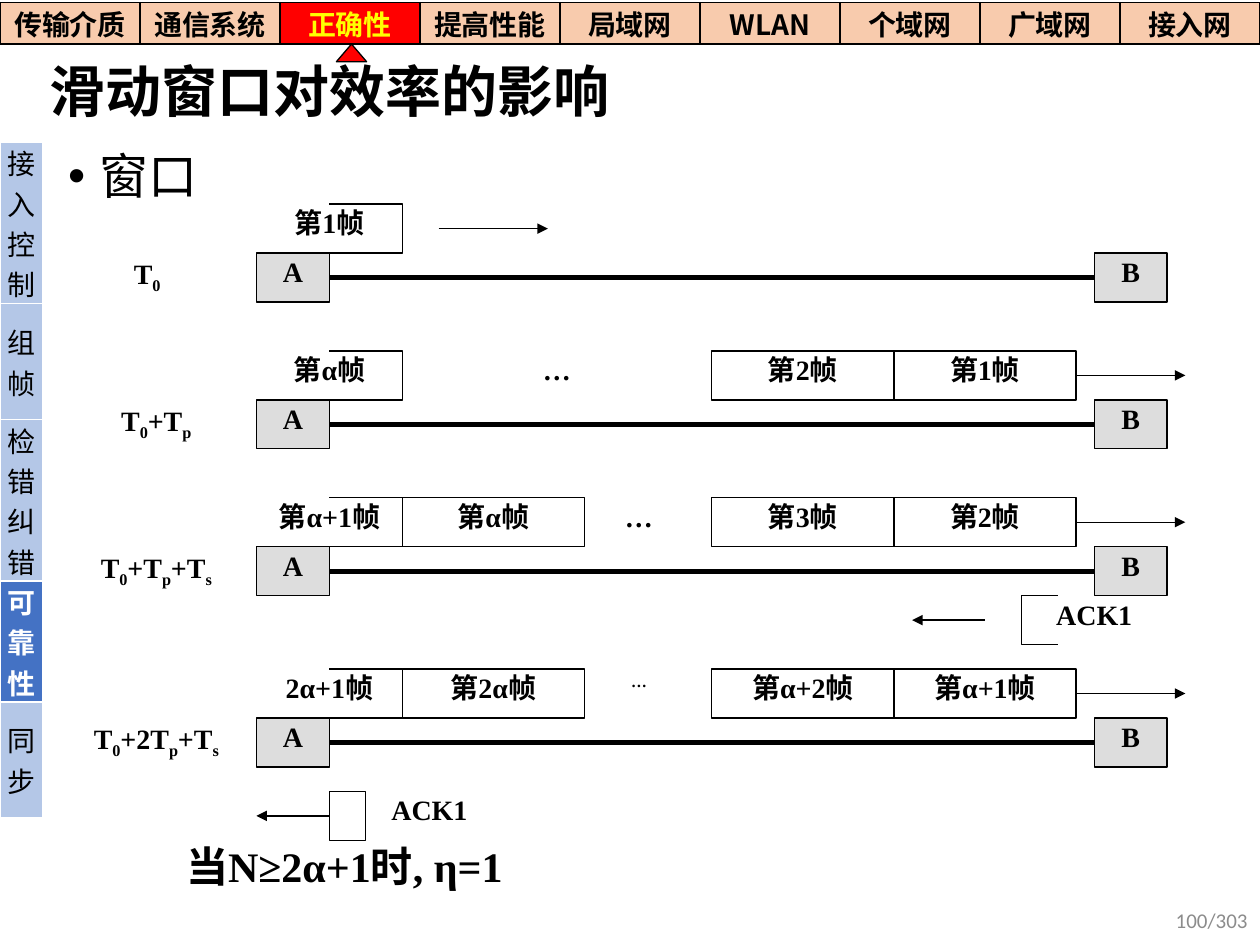
from dataclasses import dataclass
from itertools import groupby
from lxml.etree import SubElement
from pptx import Presentation
from pptx.dml.color import RGBColor
from pptx.enum.shapes import MSO_CONNECTOR, MSO_SHAPE
from pptx.enum.text import MSO_ANCHOR, PP_ALIGN
from pptx.oxml.ns import qn
from pptx.util import Inches, Pt


@dataclass(frozen=True)
class Theme:
    black: str = "000000"
    white: str = "FFFFFF"
    node: str = "DDDDDD"
    nav: str = "F8CBAD"
    nav_on: str = "FF0000"
    nav_ink: str = "FFFF00"
    side: str = "B4C7E7"
    side_on: str = "4472C4"
    pale: str = "8C8C8C"
    sans: str = "Noto Sans CJK SC"
    serif: str = "Times New Roman"
    foot: str = "Calibri"
    title: int = 32
    body: int = 28
    close: int = 24
    label: int = 16
    page: int = 12
    tiny: int = 9
    thin: float = 0.75
    thick: float = 3


T = Theme()
TITLE, BODY, PAGE = "滑动窗口对效率的影响", "窗口", "100/303"
CLOSE = "当N≥2α+1时, η=1"
NAV = ["传输介质", "通信系统", "正确性", "提高性能", "局域网", "WLAN", "个域网", "广域网", "接入网"]
SIDE = ["接入控制", "组帧", "检错纠错", "可靠性", "同步"]
NAV_ON, SIDE_ON = 2, 3

# Grid row, time, time width, frame leaving A, boxed frames (column: text),
# dots (column, width, size), arrow (from, to)
STEPS = [
    (0, "T0", 8, "第1帧", {}, None, (20, 26)),
    (3, "T0+Tp", 9, "第α帧", {35: "第2帧", 45: "第1帧"}, (22, 9, T.label), (55, 61)),
    (6, "T0+Tp+Ts", 9, "第α+1帧", {18: "第α帧", 35: "第3帧", 45: "第2帧"},
     (28, 6, T.label), (55, 61)),
    (9.5, "T0+2Tp+Ts", 9, "2α+1帧", {18: "第2α帧", 35: "第α+2帧", 45: "第α+1帧"},
     (28, 6, T.tiny), (55, 61)),
]
A_COL, B_COL, NODE, FRAME = 10, 56, 4, 10

deck = Presentation()
deck.slide_width, deck.slide_height = Inches(10), Inches(7.5)
slide = deck.slides.add_slide(deck.slide_layouts[1])
shapes = slide.shapes


def col(n):
    return Inches(0.59 + n * 7.95 / 55)


def row(n):
    return Inches(1.62 + n * 3.69 / 9.5)


def area(c, r, w, h=1):
    return col(c), row(r), col(c + w) - col(c), row(r + h) - row(r)


def rgb(ink):
    return RGBColor.from_string(ink)


def style(run, size, face, ink=T.black, bold=False):
    font = run.font
    font.size, font.name, font.bold = Pt(size), face, bold
    font.color.rgb = rgb(ink)
    east = SubElement(run._r.get_or_add_rPr(), qn("a:ea"))
    east.set("typeface", T.sans)


def stroke(shape, width=T.thin):
    shape.line.color.rgb = rgb(T.black)
    shape.line.width = Pt(width)


def write(shape, text, size=T.label, align=PP_ALIGN.CENTER):
    frame = shape.text_frame
    frame.word_wrap = True
    frame.vertical_anchor = MSO_ANCHOR.TOP
    frame.margin_left = frame.margin_right = Inches(0.02)
    frame.margin_top, frame.margin_bottom = Inches(0.03), Inches(0.01)
    para = frame.paragraphs[0]
    para.text, para.alignment, para.line_spacing = text, align, 0.96
    for run in para.runs:
        style(run, size, T.serif, bold=True)
    return para


def label(text, c, r, w, size=T.label, align=PP_ALIGN.CENTER):
    return write(shapes.add_textbox(*area(c, r, w)), text, size, align)


def time(text, r, w):
    """Write a time label whose 0, p and s are subscripts."""
    para = label("", 0, r, w)
    for low, part in groupby(text, lambda sign: sign in "0ps"):
        run = para.add_run()
        run.text = "".join(part)
        style(run, T.label, T.serif, bold=True)
        if low:
            run._r.get_or_add_rPr().set("baseline", "-25000")


def box(c, r, w, text="", fill=None):
    shape = shapes.add_shape(MSO_SHAPE.RECTANGLE, *area(c, r, w))
    shape.shadow.inherit = False
    if fill:
        shape.fill.solid()
        shape.fill.fore_color.rgb = rgb(fill)
    else:
        shape.fill.background()
    stroke(shape)
    if text:
        write(shape, text)


def bracket(start, end, r):
    """Draw a frame left open on the side of the start column."""
    pen = shapes.build_freeform(col(start), row(r))
    pen.add_line_segments([(col(end), row(r)), (col(end), row(r + 1)),
                           (col(start), row(r + 1))], close=False)
    shape = pen.convert_to_shape()
    shape.shadow.inherit = False
    shape.fill.background()
    stroke(shape)


def line(start, end, r, width=T.thin, head=True):
    link = shapes.add_connector(MSO_CONNECTOR.STRAIGHT, col(start), row(r), col(end), row(r))
    stroke(link, width)
    if head:
        SubElement(link.line._get_or_add_ln(), qn("a:tailEnd")).set("type", "triangle")
    SubElement(link._element.spPr, qn("a:effectLst"))


def paint(cell, text, fill, ink, bold, edges):
    cell.margin_left = cell.margin_right = cell.margin_top = cell.margin_bottom = 0
    cell.vertical_anchor = MSO_ANCHOR.MIDDLE
    para = cell.text_frame.paragraphs[0]
    para.text, para.alignment = text, PP_ALIGN.CENTER
    style(para.runs[0], T.label, T.sans, ink, bold)
    props = cell._tc.get_or_add_tcPr()
    for side in ("lnL", "lnR", "lnT", "lnB"):
        edge = SubElement(props, qn("a:" + side))
        edge.set("w", str(Pt(1)))
        SubElement(SubElement(edge, qn("a:solidFill")), qn("a:srgbClr")).set("val", edges)
    cell.fill.solid()
    cell.fill.fore_color.rgb = rgb(fill)


def holder(shape, place, text, size, bold):
    shape.left, shape.top, shape.width, shape.height = map(Inches, place)
    para = shape.text_frame.paragraphs[0]
    para.text, para.alignment, para.line_spacing = text, PP_ALIGN.LEFT, 0.9
    para.space_before = Pt(0)
    style(para.runs[0], size, T.sans, bold=bold)
    return para


holder(shapes.title, (0.29, 0.38, 9.47, 0.74), TITLE, T.title, True)
shapes.title.text_frame.vertical_anchor = MSO_ANCHOR.MIDDLE
item = holder(slide.placeholders[1], (0.44, 1.16, 9.31, 5.95), BODY, T.body, False)
indent = item._p.get_or_add_pPr()
indent.set("marL", str(Inches(0.25)))
indent.set("indent", str(-Inches(0.25)))

side = shapes.add_table(len(SIDE), 1, 0, Inches(1.13), Inches(0.34), Inches(4.6)).table
for i, name in enumerate(SIDE):
    on = i == SIDE_ON
    paint(side.cell(i, 0), name, T.side_on if on else T.side,
          T.white if on else T.black, on, T.white)
nav = shapes.add_table(1, len(NAV), 0, Inches(0.02), deck.slide_width, Inches(0.33)).table
for i, name in enumerate(NAV):
    on = i == NAV_ON
    paint(nav.cell(0, i), name, T.nav_on if on else T.nav,
          T.nav_ink if on else T.black, True, T.black)
mark = shapes.add_shape(MSO_SHAPE.FLOWCHART_EXTRACT, *map(Inches, (2.67, 0.35, 0.24, 0.14)))
mark.shadow.inherit = False
mark.fill.solid()
mark.fill.fore_color.rgb = rgb(T.nav_on)
stroke(mark)

for r, when, wide, first, frames, dots, arrow in STEPS:
    time(when, r + 1, wide)
    box(A_COL, r + 1, NODE, "A", T.node)
    box(B_COL, r + 1, NODE, "B", T.node)
    line(A_COL + NODE, B_COL, r + 1.5, T.thick, head=False)
    bracket(A_COL + NODE, A_COL + 2 * NODE, r)
    label(first, A_COL, r, 2 * NODE)
    for c, text in frames.items():
        box(c, r, FRAME, text)
    if dots:
        c, w, size = dots
        label("…", c, r, w, size)
    line(*arrow, r + 0.5)

bracket(54, 52, 8)
label("ACK1", 52, 8, 8)
line(50, 46, 8.5)
box(14, 12, 2)
label("ACK1", 16, 12, 7)
line(14, 10, 12.5)
label(CLOSE, 6, 13, 54, T.close, PP_ALIGN.LEFT)

page = shapes.add_textbox(*map(Inches, (7.75, 7.1, 2.25, 0.4))).text_frame
page.word_wrap = True
page.vertical_anchor = MSO_ANCHOR.MIDDLE
page.text = PAGE
page.paragraphs[0].alignment = PP_ALIGN.RIGHT
style(page.paragraphs[0].runs[0], T.page, T.foot, T.pale)

deck.save("out.pptx")
